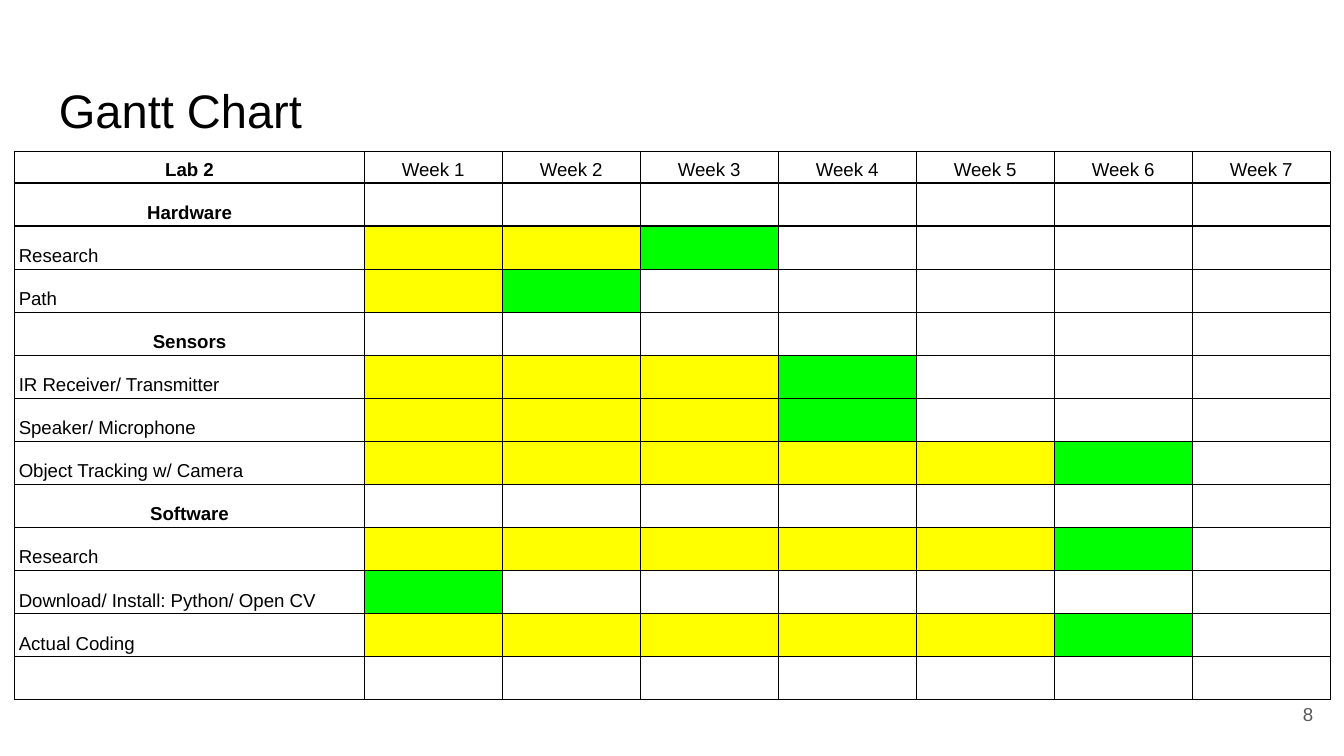
import pptx
import pptx.dml.color
import pptx.enum.text
import pptx.oxml
import pptx.oxml.ns
import pptx.util
from pptx.util import Inches

ALIGN = pptx.enum.text.PP_ALIGN
ANCHOR = pptx.enum.text.MSO_ANCHOR
WEEKS = 7
ONGOING, FINISH, EMPTY = "FFFF00", "00FF00", "FFFFFF"
TASKS = [
    ("Hardware", None),
    ("Research", 3),
    ("Path", 2),
    ("Sensors", None),
    ("IR Receiver/ Transmitter", 4),
    ("Speaker/ Microphone", 4),
    ("Object Tracking w/ Camera", 6),
    ("Software", None),
    ("Research", 6),
    ("Download/ Install: Python/ Open CV", 1),
    ("Actual Coding", 6),
    ("", None),
]


def rgb(value):
    """Turn a hex string into a colour."""
    return pptx.dml.color.RGBColor.from_string(value)


def write_text(frame, text, size=10, color="000000", bold=False,
               align=ALIGN.LEFT, spacing=1.0):
    """Write one formatted paragraph into a text frame."""
    para = frame.paragraphs[0]
    para.alignment = align
    para.line_spacing = spacing
    para.font.size = pptx.util.Pt(size)
    if text:
        span = para.add_run()
        span.text = text
        span.font.name = "Arial"
        span.font.size = pptx.util.Pt(size)
        span.font.bold = bold
        span.font.color.rgb = rgb(color)


def add_text_box(page, left, top, width, height, text, anchor=ANCHOR.TOP, **style):
    """Add a wrapped text box with even insets."""
    box = page.shapes.add_textbox(Inches(left), Inches(top), Inches(width), Inches(height))
    frame = box.text_frame
    frame.word_wrap = True
    frame.vertical_anchor = anchor
    frame.margin_left = frame.margin_right = Inches(0.1)
    frame.margin_top = frame.margin_bottom = Inches(0.1)
    write_text(frame, text, **style)


def add_borders(cell, color="000000", width=0.75):
    """Draw a thin line on all four sides of a cell."""
    properties = cell._tc.get_or_add_tcPr()
    for index, side in enumerate(("lnL", "lnR", "lnT", "lnB")):
        line = pptx.oxml.parse_xml(
            f'<a:{side} {pptx.oxml.ns.nsdecls("a")} w="{pptx.util.Pt(width)}">'
            f'<a:solidFill><a:srgbClr val="{color}"/></a:solidFill></a:{side}>')
        properties.insert(index, line)


def format_cell(cell, text="", fill=EMPTY, **style):
    """Fill, frame and label one table cell."""
    cell.fill.solid()
    cell.fill.fore_color.rgb = rgb(fill)
    cell.vertical_anchor = ANCHOR.BOTTOM
    cell.margin_left = cell.margin_right = Inches(0.03)
    cell.margin_top = cell.margin_bottom = Inches(0.02)
    add_borders(cell)
    write_text(cell.text_frame, text, spacing=1.15, **style)


def week_fill(week, last):
    """Return the colour of a week for a task that ends in week last."""
    if last is None or week > last:
        return EMPTY
    return FINISH if week == last else ONGOING


def add_gantt_table(page, left, top, width, height, label_width, header_height):
    """Add the schedule with one row per task and one column per week."""
    table = page.shapes.add_table(
        len(TASKS) + 1, WEEKS + 1,
        Inches(left), Inches(top), Inches(width), Inches(height)).table
    table.first_row = table.horz_banding = False
    week_width = (width - label_width) / WEEKS
    row_height = (height - header_height) / len(TASKS)
    for index, column in enumerate(table.columns):
        column.width = Inches(week_width if index else label_width)
    for index, row in enumerate(table.rows):
        row.height = Inches(row_height if index else header_height)

    format_cell(table.cell(0, 0), "Lab 2", bold=True, align=ALIGN.CENTER)
    for week in range(1, WEEKS + 1):
        format_cell(table.cell(0, week), f"Week {week}", align=ALIGN.CENTER)
    for row, (name, last) in enumerate(TASKS, start=1):
        heading = last is None
        format_cell(table.cell(row, 0), name, bold=heading,
                    align=ALIGN.CENTER if heading else ALIGN.LEFT)
        for week in range(1, WEEKS + 1):
            format_cell(table.cell(row, week), fill=week_fill(week, last))


def main():
    """Build the Gantt chart slide and save it."""
    deck = pptx.Presentation()
    deck.slide_width = Inches(10)
    deck.slide_height = deck.slide_width * 9 // 16
    page = deck.slides.add_slide(deck.slide_layouts[6])
    add_text_box(page, 0.34, 0.51, 9.32, 0.63, "Gantt Chart", size=25.2)
    add_text_box(page, 9.27, 5.1, 0.6, 0.43, "8", anchor=ANCHOR.MIDDLE,
                 color="595959", align=ALIGN.RIGHT)
    add_gantt_table(page, 0.11, 1.13, 9.79, 4.08, label_width=2.6, header_height=0.23)
    deck.save("out.pptx")


if __name__ == "__main__":
    main()
